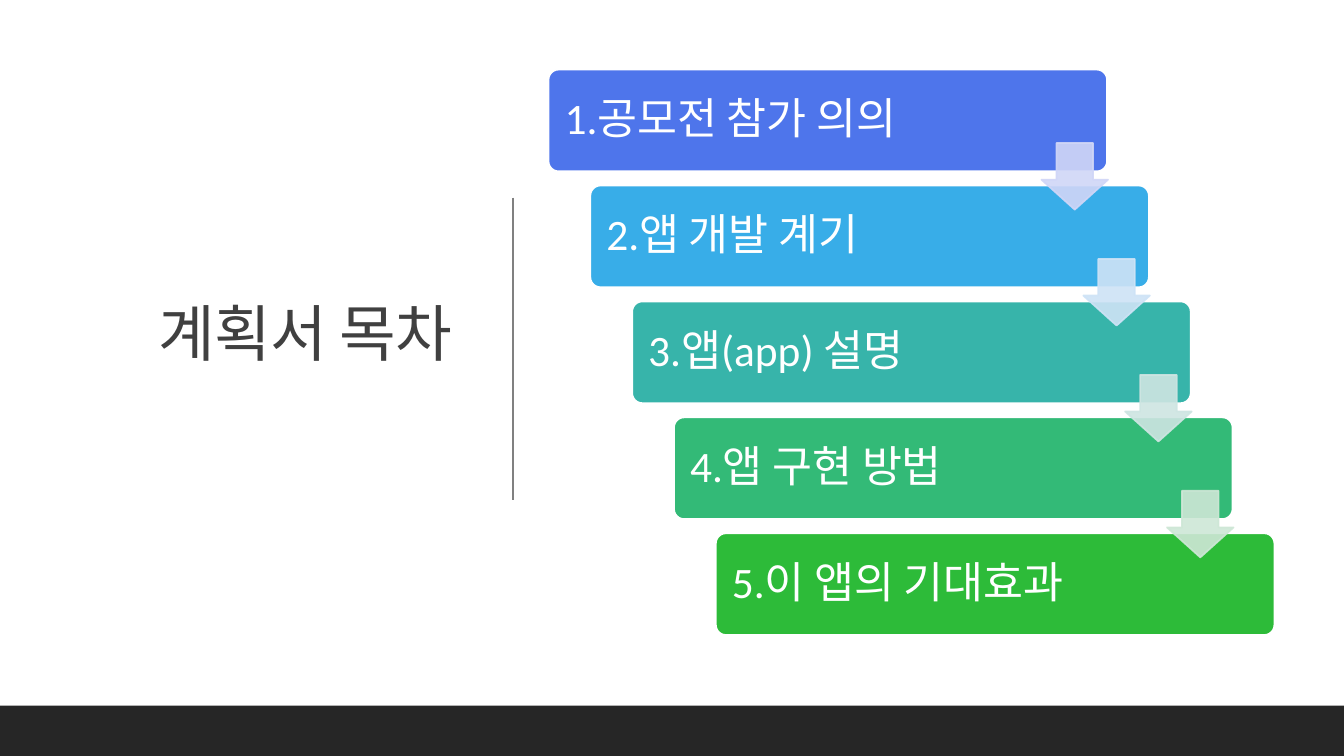
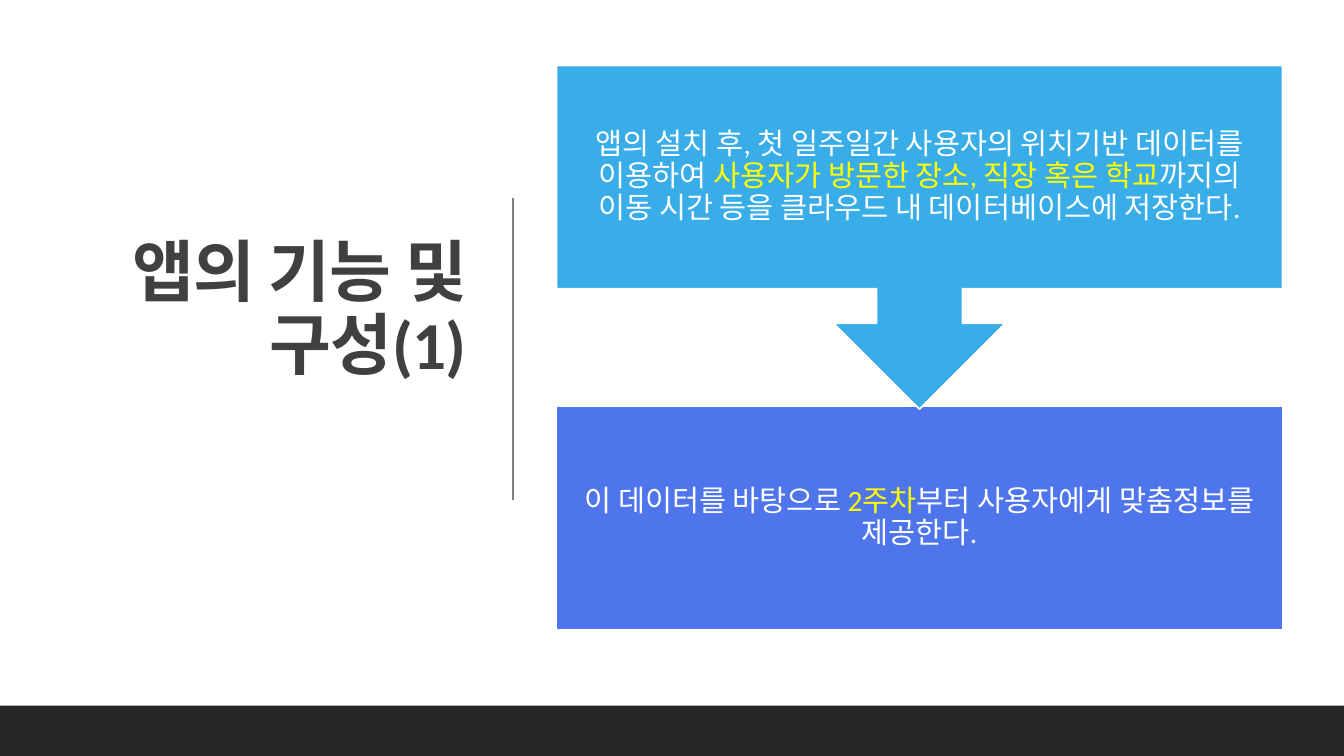
import lxml.etree
import pptx
import pptx.dml.color
import pptx.enum.shapes
import pptx.enum.text
import pptx.oxml.ns
import pptx.util

Inches = pptx.util.Inches
Shape = pptx.enum.shapes.MSO_SHAPE
Align = pptx.enum.text.PP_ALIGN
qn = pptx.oxml.ns.qn

WHITE, YELLOW = "FFFFFF", "FFFF00"
BLUE, SKY = "4E75EB", "38ADE8"


def rgb(hex_code):
    return pptx.dml.color.RGBColor.from_string(hex_code)


def write(frame, runs, size, color=WHITE, bold=False, align=Align.LEFT,
          line_spacing=0.9, inset=0.1, tracking=0):
    """Fill a text frame with one paragraph; runs are (text, colour or None)."""
    frame.word_wrap = True
    frame.auto_size = pptx.enum.text.MSO_AUTO_SIZE.NONE
    frame.vertical_anchor = pptx.enum.text.MSO_ANCHOR.MIDDLE
    frame.margin_left = frame.margin_right = Inches(inset)
    frame.margin_top = frame.margin_bottom = Inches(inset)
    paragraph = frame.paragraphs[0]
    paragraph.alignment = align
    paragraph.line_spacing = line_spacing
    for text, run_color in runs:
        run = paragraph.add_run()
        run.text = text
        run.font.size = pptx.util.Pt(size)
        run.font.bold = bold
        run.font.color.rgb = rgb(run_color or color)
        run.font.name = Deck.LATIN_FONT
        properties = run.font._element
        lxml.etree.SubElement(properties, qn("a:ea"), typeface=Deck.KOREAN_FONT)
        if tracking:
            properties.set("spc", str(round(tracking * 100)))


class Deck:
    """The shared style and the slide being built."""

    LATIN_FONT = "Calibri"
    KOREAN_FONT = "Noto Sans CJK KR"
    TITLE_COLOR, DIVIDER_COLOR, BAND_COLOR = "404040", "808080", "262626"
    WIDTH, HEIGHT, BAND_HEIGHT = 13.33, 7.5, 0.5

    def __init__(self):
        self.presentation = pptx.Presentation()
        self.presentation.slide_width = Inches(self.WIDTH)
        self.presentation.slide_height = Inches(self.HEIGHT)
        self.slide = None

    def add_slide(self):
        """Start a slide with the divider and the footer band."""
        title_only = self.presentation.slide_layouts[5]
        self.slide = self.presentation.slides.add_slide(title_only)
        self.divider(5.09, 1.96, 4.96)
        self.shape(Shape.RECTANGLE, 0, self.HEIGHT - self.BAND_HEIGHT,
                   self.WIDTH, self.BAND_HEIGHT, self.BAND_COLOR)

    def title(self, text, left, top, width, **text_format):
        title = self.slide.shapes.title
        title.left, title.top = Inches(left), Inches(top)
        title.width, title.height = Inches(width), Inches(5.53)
        write(title.text_frame, [(text, None)], color=self.TITLE_COLOR,
              align=Align.RIGHT, tracking=-0.5, **text_format)

    def divider(self, x, top, bottom):
        line = self.slide.shapes.add_connector(
            pptx.enum.shapes.MSO_CONNECTOR.STRAIGHT,
            Inches(x), Inches(top), Inches(x), Inches(bottom))
        line.line.color.rgb = rgb(self.DIVIDER_COLOR)
        line.line.width = pptx.util.Pt(1)
        lxml.etree.SubElement(line._element.spPr, qn("a:effectLst"))

    def shape(self, preset, left, top, width, height, fill, outline=None,
              adjustments=(), opacity=None):
        shape = self.slide.shapes.add_shape(
            preset, Inches(left), Inches(top), Inches(width), Inches(height))
        shape.shadow.inherit = False
        for index, value in enumerate(adjustments):
            shape.adjustments[index] = value
        shape.fill.solid()
        shape.fill.fore_color.rgb = rgb(fill)
        if outline:
            shape.line.color.rgb = rgb(outline)
            shape.line.width = pptx.util.Pt(1.25)
        else:
            shape.line.fill.background()
        if opacity:
            for color in shape._element.spPr.iter(qn("a:srgbClr")):
                lxml.etree.SubElement(color, qn("a:alpha"),
                                      val=str(round(opacity * 100000)))
        return shape

    def staircase(self, steps, arrow_colors):
        """Draw steps descending to the right, with an arrow between each two."""
        left, top, width, height = 5.44, 0.69, 5.54, 1.01
        shift_x, shift_y = (7.1 - left) / 4, 1.15
        for index, (text, fill) in enumerate(steps):
            step = self.shape(Shape.ROUNDED_RECTANGLE, left + index * shift_x,
                              top + index * shift_y, width, height, fill,
                              outline=WHITE, adjustments=[0.1])
            write(step.text_frame, [(text, None)], size=31, inset=0.13)
        for index, color in enumerate(arrow_colors):
            self.shape(Shape.DOWN_ARROW, left + 4.89 + index * shift_x,
                       top + 0.73 + index * shift_y, 0.66, 0.66, color,
                       outline=color, adjustments=[0.55, 0.45], opacity=0.9)

    def stage(self, preset, top, height, fill, runs):
        stage = self.shape(preset, 5.52, top, 7.2, height, fill, outline=WHITE)
        write(stage.text_frame, runs, size=21, align=Align.CENTER, inset=0.16)

    def save(self):
        self.presentation.save("out.pptx")


def main():
    deck = Deck()

    deck.add_slide()
    deck.title("계획서 목차", 0.71, 0.6, 3.88, size=44, line_spacing=0.8)
    deck.staircase(
        [("1.공모전 참가 의의", BLUE),
         ("2.앱 개발 계기", SKY),
         ("3.앱(app) 설명", "37B4AA"),
         ("4.앱 구현 방법", "33BA77"),
         ("5.이 앱의 기대효과", "2DBB39")],
        arrow_colors=["D0D6F7", "CEE3F6", "CEE5E2", "CEE7D6"])

    deck.add_slide()
    deck.title("앱의 기능 및 구성(1)", 0.7, 0.32, 4.03, size=48, bold=True)
    deck.stage(Shape.RECTANGLE, 4.03, 2.22, BLUE, [
        ("이 데이터를 바탕으로 ", None),
        ("2주차", YELLOW),
        ("부터 사용자에게 맞춤정보를 제공한다.", None)])
    deck.stage(Shape.DOWN_ARROW_CALLOUT, 0.65, 3.41, SKY, [
        ("앱의 설치 후, 첫 일주일간 사용자의 위치기반 데이터를 이용하여 ", None),
        ("사용자가 방문한 장소, 직장 혹은 학교", YELLOW),
        ("까지의 이동 시간 등을 클라우드 내 데이터베이스에 저장한다.", None)])

    deck.save()


if __name__ == "__main__":
    main()
